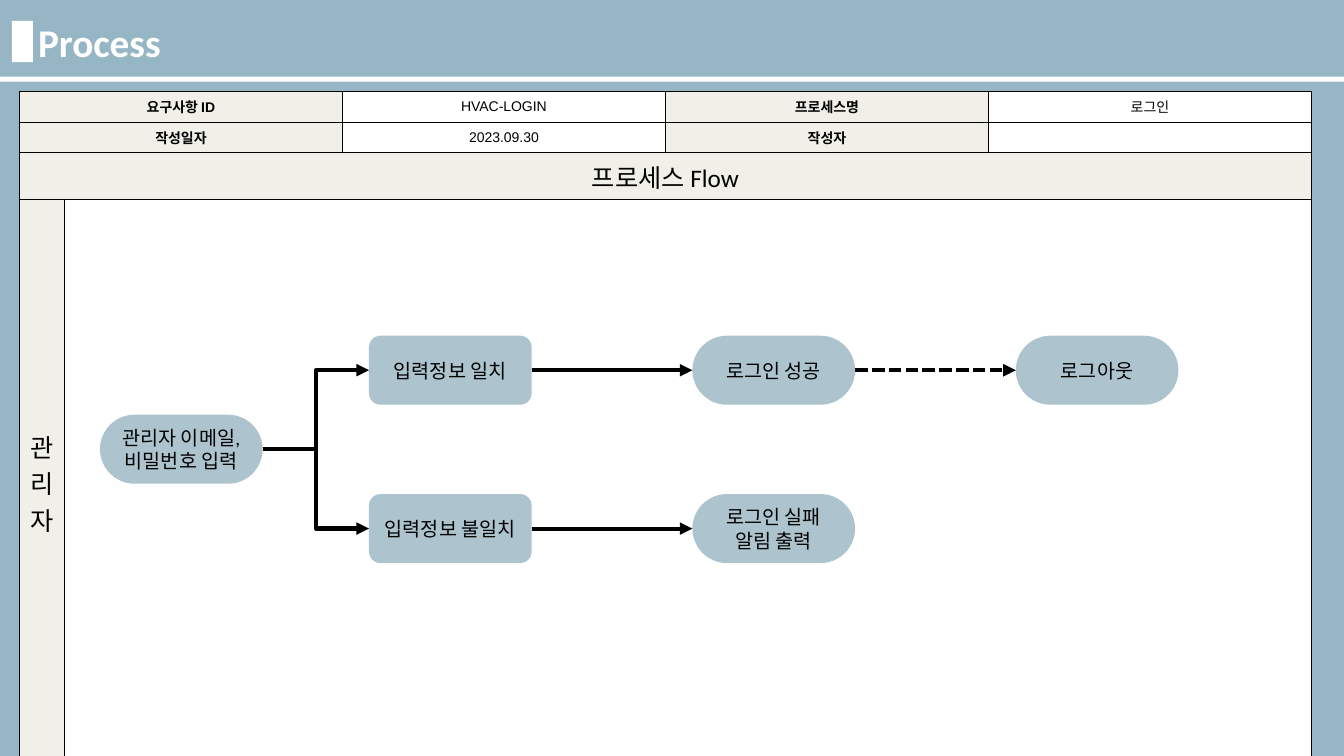
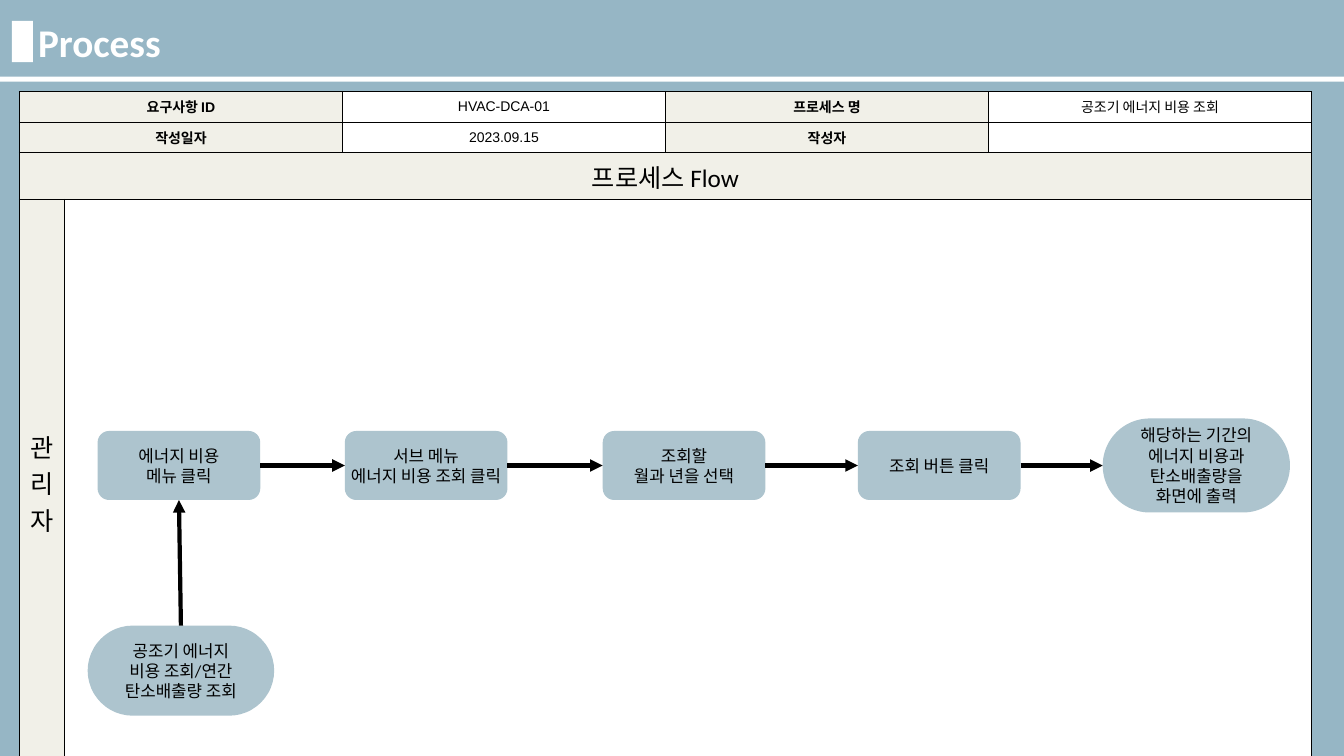
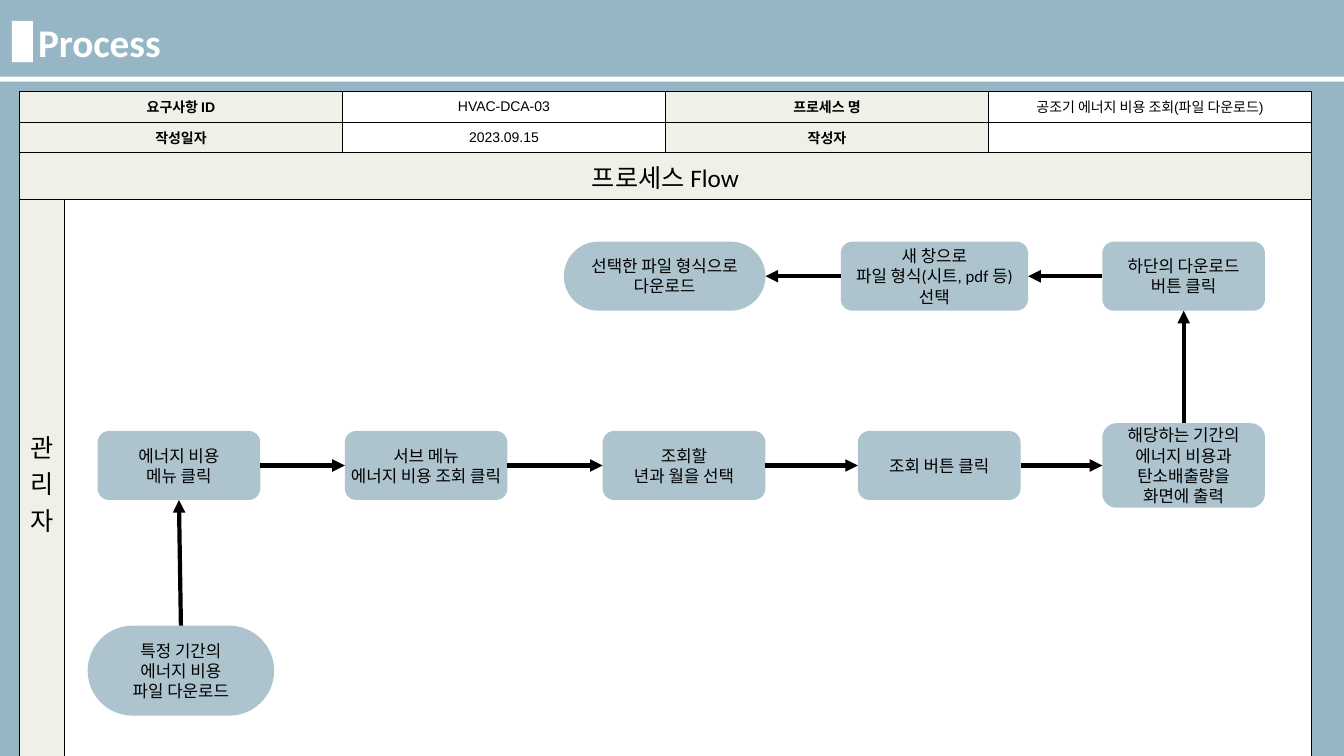
from dataclasses import dataclass

from lxml import etree
from pptx import Presentation
from pptx.dml.color import RGBColor
from pptx.enum.dml import MSO_LINE
from pptx.enum.shapes import MSO_CONNECTOR, MSO_SHAPE
from pptx.enum.text import MSO_ANCHOR, PP_ALIGN
from pptx.oxml.ns import qn
from pptx.util import Cm, Pt

LEFT, CENTER = PP_ALIGN.LEFT, PP_ALIGN.CENTER
MIDDLE = MSO_ANCHOR.MIDDLE
RECTANGLE, ROUNDED = MSO_SHAPE.RECTANGLE, MSO_SHAPE.ROUNDED_RECTANGLE
STRAIGHT, ELBOW = MSO_CONNECTOR.STRAIGHT, MSO_CONNECTOR.ELBOW
DASHED = MSO_LINE.SQUARE_DOT
TOP_SITE, LEFT_SITE, BOTTOM_SITE, RIGHT_SITE = range(4)
RIGHTWARD = (RIGHT_SITE, LEFT_SITE)
LEFTWARD = (LEFT_SITE, RIGHT_SITE)
UPWARD = (TOP_SITE, BOTTOM_SITE)


@dataclass(frozen=True)
class Theme:
    background: RGBColor = RGBColor.from_string("96B6C5")
    node: RGBColor = RGBColor.from_string("ADC4CE")
    label: RGBColor = RGBColor.from_string("F1F0E8")
    white: RGBColor = RGBColor.from_string("FFFFFF")
    black: RGBColor = RGBColor.from_string("000000")
    title_size: int = 28
    heading_size: int = 18
    cell_size: int = 10
    border: int = 1
    arrow: int = 3


THEME = Theme()
TITLE_FORMAT = {"name": "Calibri", "size": Pt(THEME.title_size), "bold": True}
HEADING_FORMAT = {"name": "Calibri", "size": Pt(THEME.heading_size), "bold": False}
LABEL_FORMAT = {"name": "Arial", "size": Pt(THEME.cell_size), "bold": True}
VALUE_FORMAT = {**LABEL_FORMAT, "bold": False}

SLIDE_WIDTH, SLIDE_HEIGHT = 33.87, 19.05
COLUMN_WIDTHS = [1.13, 7.01, 8.14, 8.14, 8.14]
ROW_HEIGHTS = [0.77, 0.77, 1.15, 14.27]
NODE_WIDTH, NODE_HEIGHT = 4.1, 1.74

BRANCH_X = [11.35 + 8.15 * step for step in range(3)]
MATCH_Y, LOGIN_Y, MISMATCH_Y = 9.33, 11.32, 13.32
STEP_X = [4.51, 10.74, 17.24, 23.67]
STEP_Y, START_Y, DOWNLOAD_Y = 11.73, 16.9, 6.96
DOWNLOAD_X = 29.83

MENU_NODES = {
    "menu": ("에너지 비용\n메뉴 클릭", STEP_X[0], STEP_Y, False),
    "submenu": ("서브 메뉴\n에너지 비용 조회 클릭", STEP_X[1], STEP_Y, False),
    "search": ("조회 버튼 클릭", STEP_X[3], STEP_Y, False),
}
MENU_ARROWS = [
    ("start", "menu", UPWARD),
    ("menu", "submenu", RIGHTWARD),
    ("submenu", "period", RIGHTWARD),
    ("period", "search", RIGHTWARD),
    ("search", "result", RIGHTWARD),
]

PROCESSES = [
    {
        "id": "HVAC-LOGIN", "name_label": "프로세스명", "name": "로그인",
        "date": "2023.09.30", "node_size": 14,
        "nodes": {
            "login": ("관리자 이메일,\n비밀번호 입력", 4.57, LOGIN_Y, True),
            "match": ("입력정보 일치", BRANCH_X[0], MATCH_Y, False),
            "success": ("로그인 성공", BRANCH_X[1], MATCH_Y, True),
            "logout": ("로그아웃", BRANCH_X[2], MATCH_Y, True),
            "mismatch": ("입력정보 불일치", BRANCH_X[0], MISMATCH_Y, False),
            "failure": ("로그인 실패 알림 출력", BRANCH_X[1], MISMATCH_Y, True),
        },
        "arrows": [
            ("login", "match", RIGHTWARD, ELBOW),
            ("login", "mismatch", RIGHTWARD, ELBOW),
            ("match", "success", RIGHTWARD),
            ("mismatch", "failure", RIGHTWARD),
            ("success", "logout", RIGHTWARD, STRAIGHT, DASHED),
        ],
    },
    {
        "id": "HVAC-DCA-01", "name_label": "프로세스 명", "name": "공조기 에너지 비용 조회",
        "date": "2023.09.15", "node_size": 12,
        "nodes": {
            **MENU_NODES,
            "start": ("공조기 에너지\n비용 조회/연간\n탄소배출량 조회", 4.56, START_Y, True, 4.7, 2.27),
            "period": ("조회할\n월과 년을 선택", STEP_X[2], STEP_Y, False),
            "result": ("해당하는 기간의\n에너지 비용과\n탄소배출량을 화면에 출력",
                       30.15, STEP_Y, True, 4.72, 2.37),
        },
        "arrows": MENU_ARROWS,
    },
    {
        "id": "HVAC-DCA-03", "name_label": "프로세스 명",
        "name": "공조기 에너지 비용 조회(파일 다운로드)",
        "date": "2023.09.15", "node_size": 12,
        "nodes": {
            **MENU_NODES,
            "start": ("특정 기간의\n에너지 비용\n파일 다운로드", 4.56, START_Y, True, 4.7, 2.27),
            "period": ("조회할\n년과 월을 선택", STEP_X[2], STEP_Y, False),
            "result": ("해당하는 기간의\n에너지 비용과\n탄소배출량을\n화면에 출력",
                       DOWNLOAD_X, STEP_Y, False, NODE_WIDTH, 2.13),
            "download": ("하단의 다운로드\n버튼 클릭", DOWNLOAD_X, DOWNLOAD_Y, False),
            "format": ("새 창으로\n파일 형식(시트, pdf 등)\n선택", 23.55, DOWNLOAD_Y, False, 4.72),
            "saved": ("선택한 파일 형식으로 다운로드", 16.75, DOWNLOAD_Y, True, 5.08),
        },
        "arrows": MENU_ARROWS + [
            ("result", "download", UPWARD),
            ("download", "format", LEFTWARD),
            ("format", "saved", LEFTWARD),
        ],
    },
]


def write_text(frame, text, format_values, color=THEME.black, alignment=CENTER):
    for index, line in enumerate(text.split("\n")):
        paragraph = frame.add_paragraph() if index else frame.paragraphs[0]
        paragraph.alignment = alignment
        if line:
            run = paragraph.add_run()
            run.text = line
            run.font.color.rgb = color
            for attribute, value in format_values.items():
                setattr(run.font, attribute, value)
        else:
            size = str(int(format_values["size"].pt * 100))
            etree.SubElement(paragraph._p, qn("a:endParaRPr"), sz=size)


def add_box(slide, kind, left, top, width, height, color):
    shape = slide.shapes.add_shape(kind, Cm(left), Cm(top), Cm(width), Cm(height))
    shape.shadow.inherit = False
    shape.fill.solid()
    shape.fill.fore_color.rgb = color
    shape.line.fill.background()
    return shape


presentation = Presentation()
presentation.slide_width = Cm(SLIDE_WIDTH)
presentation.slide_height = Cm(SLIDE_HEIGHT)
blank_layout = presentation.slide_layouts[6]

for process in PROCESSES:
    slide = presentation.slides.add_slide(blank_layout)
    slide.background.fill.solid()
    slide.background.fill.fore_color.rgb = THEME.background

    table_rows = [
        ["요구사항 ID", "", process["id"], process["name_label"], process["name"]],
        ["작성일자", "", process["date"], "작성자", ""],
        ["프로세스 Flow", "", "", "", ""],
        ["관리자", "", "", "", ""],
    ]
    table = slide.shapes.add_table(
        len(ROW_HEIGHTS), len(COLUMN_WIDTHS), Cm(0.49), Cm(2.31),
        Cm(sum(COLUMN_WIDTHS)), Cm(sum(ROW_HEIGHTS))).table
    table.first_row = False
    table.horz_banding = False
    for column, width in zip(table.columns, COLUMN_WIDTHS):
        column.width = Cm(width)
    for row, height in zip(table.rows, ROW_HEIGHTS):
        row.height = Cm(height)
    for row_index, texts in enumerate(table_rows):
        for column_index, text in enumerate(texts):
            cell = table.cell(row_index, column_index)
            is_label = row_index == 2 or column_index in ((0, 1, 3) if row_index < 2 else (0,))
            if row_index >= 2:
                cell_format = HEADING_FORMAT
            else:
                cell_format = LABEL_FORMAT if is_label else VALUE_FORMAT
            cell.vertical_anchor = MIDDLE
            write_text(cell.text_frame, text, cell_format)
            properties = cell._tc.get_or_add_tcPr()
            for side in ("a:lnL", "a:lnR", "a:lnT", "a:lnB"):
                border = etree.SubElement(properties, qn(side), w=str(Pt(THEME.border)))
                border_fill = etree.SubElement(border, qn("a:solidFill"))
                etree.SubElement(border_fill, qn("a:srgbClr"), val=str(THEME.black))
            cell.fill.solid()
            cell.fill.fore_color.rgb = THEME.label if is_label else THEME.white
    for row_index, first, last in ((0, 0, 1), (1, 0, 1), (2, 0, 4), (3, 1, 4)):
        table.cell(row_index, first).merge(table.cell(row_index, last))

    title = slide.shapes.add_textbox(Cm(0.71), Cm(0.33), Cm(30.4), Cm(1.45))
    title.text_frame.word_wrap = True
    write_text(title.text_frame, "Process", TITLE_FORMAT, THEME.white, LEFT)
    add_box(slide, RECTANGLE, 0.3, 0.53, 0.53, 1.04, THEME.white)
    add_box(slide, RECTANGLE, 0, 1.93, SLIDE_WIDTH, 0.13, THEME.white)

    node_format = {**HEADING_FORMAT, "size": Pt(process["node_size"])}
    nodes = {}
    for name, (text, center_x, center_y, is_pill, *size) in process["nodes"].items():
        width = size[0] if size else NODE_WIDTH
        height = size[1] if len(size) > 1 else NODE_HEIGHT
        node = add_box(slide, ROUNDED, center_x - width / 2, center_y - height / 2,
                       width, height, THEME.node)
        if is_pill:
            node.adjustments[0] = 0.5
        node.text_frame.word_wrap = is_pill
        node.text_frame.vertical_anchor = MIDDLE
        write_text(node.text_frame, text, node_format)
        nodes[name] = node

    for source, target, (source_site, target_site), *style in process["arrows"]:
        kind = style[0] if style else STRAIGHT
        arrow = slide.shapes.add_connector(kind, 0, 0, 0, 0)
        arrow.begin_connect(nodes[source], source_site)
        arrow.end_connect(nodes[target], target_site)
        arrow.line.color.rgb = THEME.black
        arrow.line.width = Pt(THEME.arrow)
        if len(style) > 1:
            arrow.line.dash_style = style[1]
        properties = arrow._element.spPr
        etree.SubElement(properties.find(qn("a:ln")), qn("a:tailEnd"), type="triangle")
        etree.SubElement(properties, qn("a:effectLst"))

presentation.save("out.pptx")
